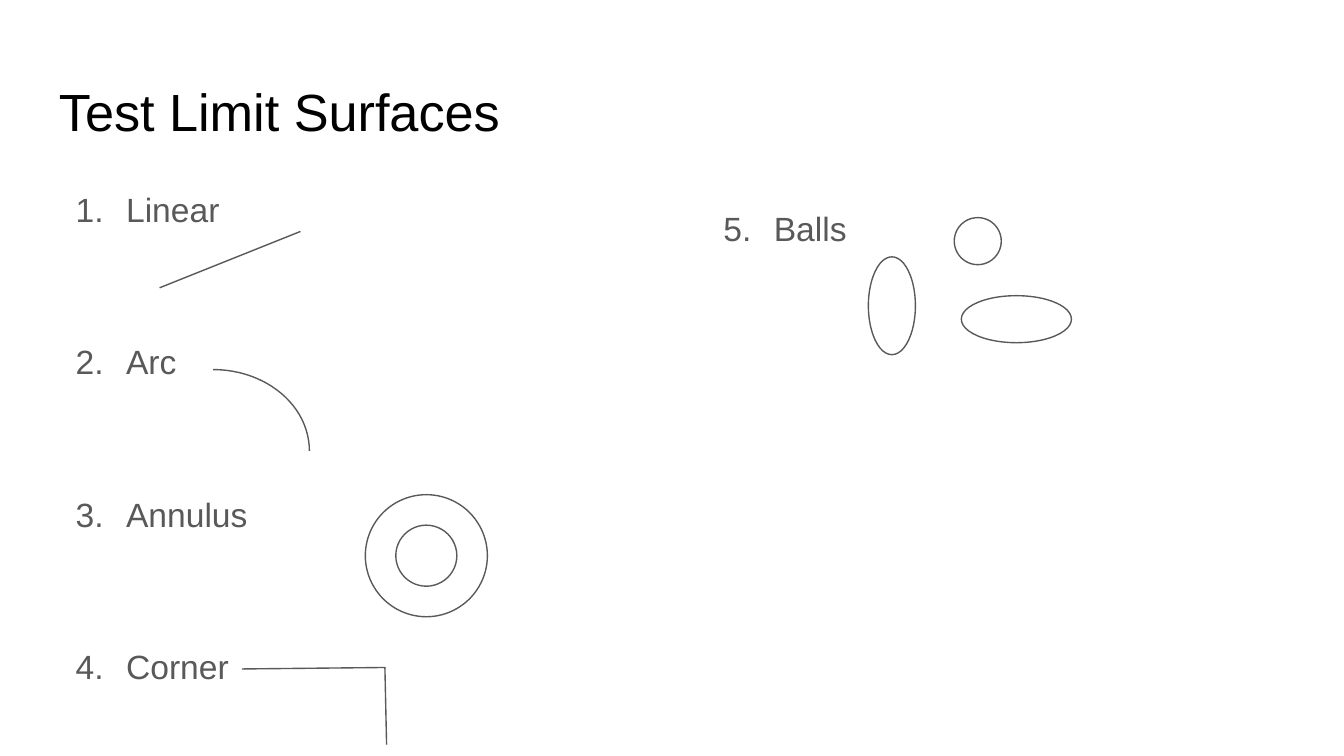
import lxml.etree
import pptx
import pptx.dml.color
import pptx.enum.shapes
import pptx.oxml.ns
import pptx.util

Pt = pptx.util.Pt
qn = pptx.oxml.ns.qn
SHAPE = pptx.enum.shapes.MSO_SHAPE
THEME = {
    "font": "Arial",
    "title": pptx.dml.color.RGBColor.from_string("000000"),
    "ink": pptx.dml.color.RGBColor.from_string("595959"),
    "title_size": Pt(28),
    "body_size": Pt(18),
    "line_width": Pt(0.75),
}

deck = pptx.Presentation()
deck.slide_width, deck.slide_height = Pt(720), Pt(405)
slide = deck.slides.add_slide(deck.slide_layouts[6])


def add_text(left, top, width, height, lines, size, color, first_number=None):
    frame = slide.shapes.add_textbox(Pt(left), Pt(top), Pt(width), Pt(height)).text_frame
    frame.word_wrap = True
    frame.margin_left = frame.margin_right = Pt(7.2)
    frame.margin_top = frame.margin_bottom = Pt(7.2)
    for index, line in enumerate(lines):
        paragraph = frame.paragraphs[0] if index == 0 else frame.add_paragraph()
        paragraph.text = line
        if first_number:
            properties = paragraph._p.get_or_add_pPr()
            properties.set("marL", str(Pt(36)))
            properties.set("indent", str(-Pt(27)))
            number_color = lxml.etree.SubElement(properties, qn("a:buClr"))
            lxml.etree.SubElement(number_color, qn("a:srgbClr"), val=str(color))
            lxml.etree.SubElement(properties, qn("a:buFont"), typeface=THEME["font"])
            lxml.etree.SubElement(properties, qn("a:buAutoNum"),
                                  type="arabicPeriod", startAt=str(first_number))
            paragraph.line_spacing = 1.15
            if index:
                paragraph.space_before = Pt(56.8)
        paragraph.font.name = THEME["font"]
        paragraph.font.size = size
        paragraph.font.color.rgb = color


add_text(24.5, 35.3, 671, 45.4, ["Test Limit Surfaces"],
         THEME["title_size"], THEME["title"])
surfaces = ["Linear", "Arc", "Annulus", "Corner"]
for left, top, names, first_number in [(24.5, 90.7, surfaces, 1),
                                       (371.5, 100.8, ["Balls"], 5)]:
    add_text(left, top, 335.5, 269.3, names,
             THEME["body_size"], THEME["ink"], first_number)

for start_x, start_y, end_x, end_y in [
    (85.5, 154.2, 161, 124),
    (129.6, 358.4, 206.5, 357.6),
    (206.2, 357.4, 207.1, 399),
]:
    segment = slide.shapes.add_connector(
        pptx.enum.shapes.MSO_CONNECTOR.STRAIGHT,
        Pt(start_x), Pt(start_y), Pt(end_x), Pt(end_y))
    segment.line.color.rgb = THEME["ink"]
    segment.line.width = THEME["line_width"]
    lxml.etree.SubElement(segment._element.spPr, qn("a:effectLst"))

for kind, left, top, width, height in [
    (SHAPE.ARC, 62.8, 198, 103, 87),
    (SHAPE.DONUT, 195.7, 265, 65.4, 65.4),
    (SHAPE.OVAL, 465.2, 137.6, 25.2, 52.4),
    (SHAPE.OVAL, 511.2, 116.6, 25.2, 25.2),
    (SHAPE.OVAL, 515, 158.4, 59, 25.2),
]:
    surface = slide.shapes.add_shape(kind, Pt(left), Pt(top), Pt(width), Pt(height))
    surface.shadow.inherit = False
    surface.fill.background()
    surface.line.color.rgb = THEME["ink"]
    surface.line.width = THEME["line_width"]

deck.save("out.pptx")
